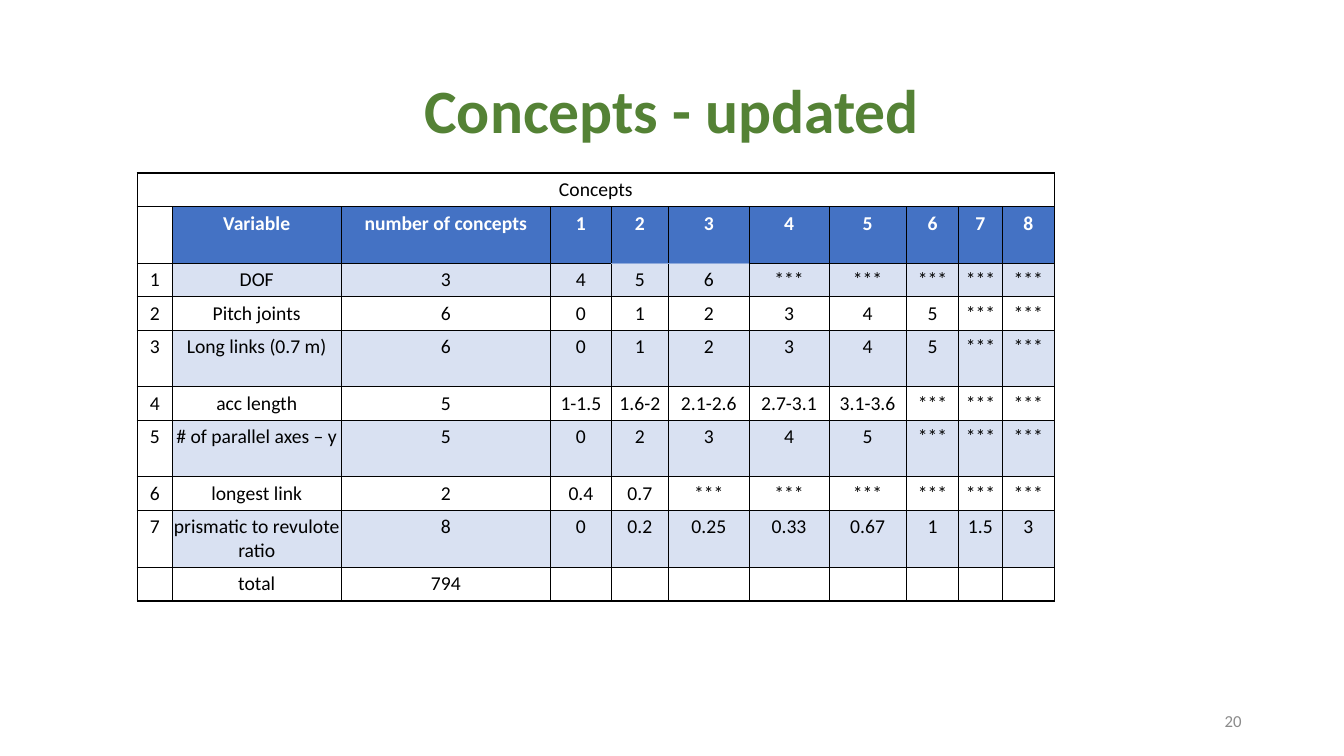
from lxml.etree import SubElement
from pptx import Presentation
from pptx.dml.color import RGBColor
from pptx.enum.text import MSO_ANCHOR, PP_ALIGN
from pptx.oxml.ns import qn
from pptx.util import Pt

COLORS = {
    "title": "548235", "number": "8B8B8B", "text": "000000", "header_text": "FFFFFF",
    "header": "4472C4", "band": "D9E1F2", "border": "000000", "light_border": "8EA9DB",
}
FONT = "Calibri"
THIN, THICK = 0.5, 0.96
NONE = "***"
COLUMN_WIDTHS = [25.2, 120.4, 149.8, 43.2, 41, 57.6, 56.9, 55.4, 37.4, 31, 37.4]
SHORT_ROW, TALL_ROW = 24, 40.2
TALL_ROWS = (1, 4, 6, 8)
OPTION_COUNT = 8
HEADER_ROW = 1
# variable, number of concepts, values of the options
VARIABLES = [
    ("DOF", "3", ["4", "5", "6"]),
    ("Pitch joints", "6", ["0", "1", "2", "3", "4", "5"]),
    ("Long links (0.7 m)", "6", ["0", "1", "2", "3", "4", "5"]),
    ("acc length", "5", ["1-1.5", "1.6-2", "2.1-2.6", "2.7-3.1", "3.1-3.6"]),
    ("# of parallel axes – y", "5", ["0", "2", "3", "4", "5"]),
    ("longest link", "2", ["0.4", "0.7"]),
    ("prismatic to revulote ratio", "8",
     ["0", "0.2", "0.25", "0.33", "0.67", "1", "1.5", "3"]),
]


def add_span(para, text, size, color, bold=False):
    span = para.add_run()
    span.text = text
    span.font.name = FONT
    span.font.size = Pt(size)
    span.font.bold = bold
    span.font.color.rgb = RGBColor.from_string(COLORS[color])


def add_line_of_text(page, box, text, size, color, align, bold=False, spacing=1.0):
    frame = page.shapes.add_textbox(*(Pt(length) for length in box)).text_frame
    frame.word_wrap = True
    frame.vertical_anchor = MSO_ANCHOR.MIDDLE
    para = frame.paragraphs[0]
    para.alignment = align
    para.line_spacing = spacing
    add_span(para, text, size, color, bold)


def table_rows():
    """Return the text of all rows, with unused options starred."""
    options = [str(number) for number in range(1, OPTION_COUNT + 1)]
    rows = [["Concepts"] + [""] * (OPTION_COUNT + 2),
            ["", "Variable", "number of concepts"] + options]
    for number, (variable, count, values) in enumerate(VARIABLES, 1):
        unused = [NONE] * (OPTION_COUNT - len(values))
        rows.append([str(number), variable, count] + values + unused)
    rows.append(["", "total", "794"] + [""] * OPTION_COUNT)
    return rows


def set_borders(cell, sides):
    """Draw the borders from a dict of side letter to (color name, width)."""
    properties = cell._tc.get_or_add_tcPr()
    for side in "LRTB":
        color, width = sides[side]
        line = SubElement(properties, qn(f"a:ln{side}"), w=str(Pt(width)))
        fill = SubElement(line, qn("a:solidFill"))
        SubElement(fill, qn("a:srgbClr"), val=COLORS[color])


def borders_at(row, column, last_row, last_column):
    """Thick on the outside, thin inside, light under options 2 and 3 of the header."""
    edges = {"L": column == 0 or row == 0, "R": column == last_column or row == 0,
             "T": row == 0, "B": row == last_row}
    sides = {side: ("border", THICK if outer else THIN) for side, outer in edges.items()}
    if column in (4, 5) and row in (HEADER_ROW, HEADER_ROW + 1):
        sides["B" if row == HEADER_ROW else "T"] = ("light_border", THIN)
    return sides


def fill_cell(cell, text, header, banded):
    cell.margin_left = cell.margin_right = Pt(0.72)
    cell.margin_top = cell.margin_bottom = Pt(3.6)
    if header or banded:
        cell.fill.solid()
        cell.fill.fore_color.rgb = RGBColor.from_string(COLORS["header" if header else "band"])
    else:
        cell.fill.background()
    para = cell.text_frame.paragraphs[0]
    para.alignment = PP_ALIGN.CENTER
    if text:
        add_span(para, text, 14, "header_text" if header else "text", header)
    else:
        SubElement(para._p, qn("a:endParaRPr"), sz="1400")


def add_concept_table(page, left, top):
    rows = table_rows()
    heights = [TALL_ROW if row in TALL_ROWS else SHORT_ROW for row in range(len(rows))]
    table = page.shapes.add_table(
        len(rows), len(COLUMN_WIDTHS), Pt(left), Pt(top),
        Pt(sum(COLUMN_WIDTHS)), Pt(sum(heights))).table
    table.first_row = table.horz_banding = False
    for column, width in zip(table.columns, COLUMN_WIDTHS):
        column.width = Pt(width)
    last_row, last_column = len(rows) - 1, len(COLUMN_WIDTHS) - 1
    for row, texts in enumerate(rows):
        table.rows[row].height = Pt(heights[row])
        for column, text in enumerate(texts):
            cell = table.cell(row, column)
            set_borders(cell, borders_at(row, column, last_row, last_column))
            header = row == HEADER_ROW and column > 0
            banded = HEADER_ROW < row < last_row and row % 2 == 0 and column > 0
            fill_cell(cell, text, header, banded)
    table.cell(0, 0).merge(table.cell(0, last_column))


def build_concepts_page(deck):
    page = deck.slides.add_slide(deck.slide_layouts[6])
    add_line_of_text(page, (66, 28.8, 828, 104.4), "Concepts - updated", 44, "title",
                     PP_ALIGN.CENTER, bold=True, spacing=0.9)
    add_line_of_text(page, (678, 500.4, 216, 28.8), "20", 12, "number", PP_ALIGN.RIGHT)
    add_concept_table(page, 98, 123.6)


def main():
    deck = Presentation()
    deck.slide_width, deck.slide_height = Pt(960), Pt(540)
    build_concepts_page(deck)
    deck.save("out.pptx")


if __name__ == "__main__":
    main()
